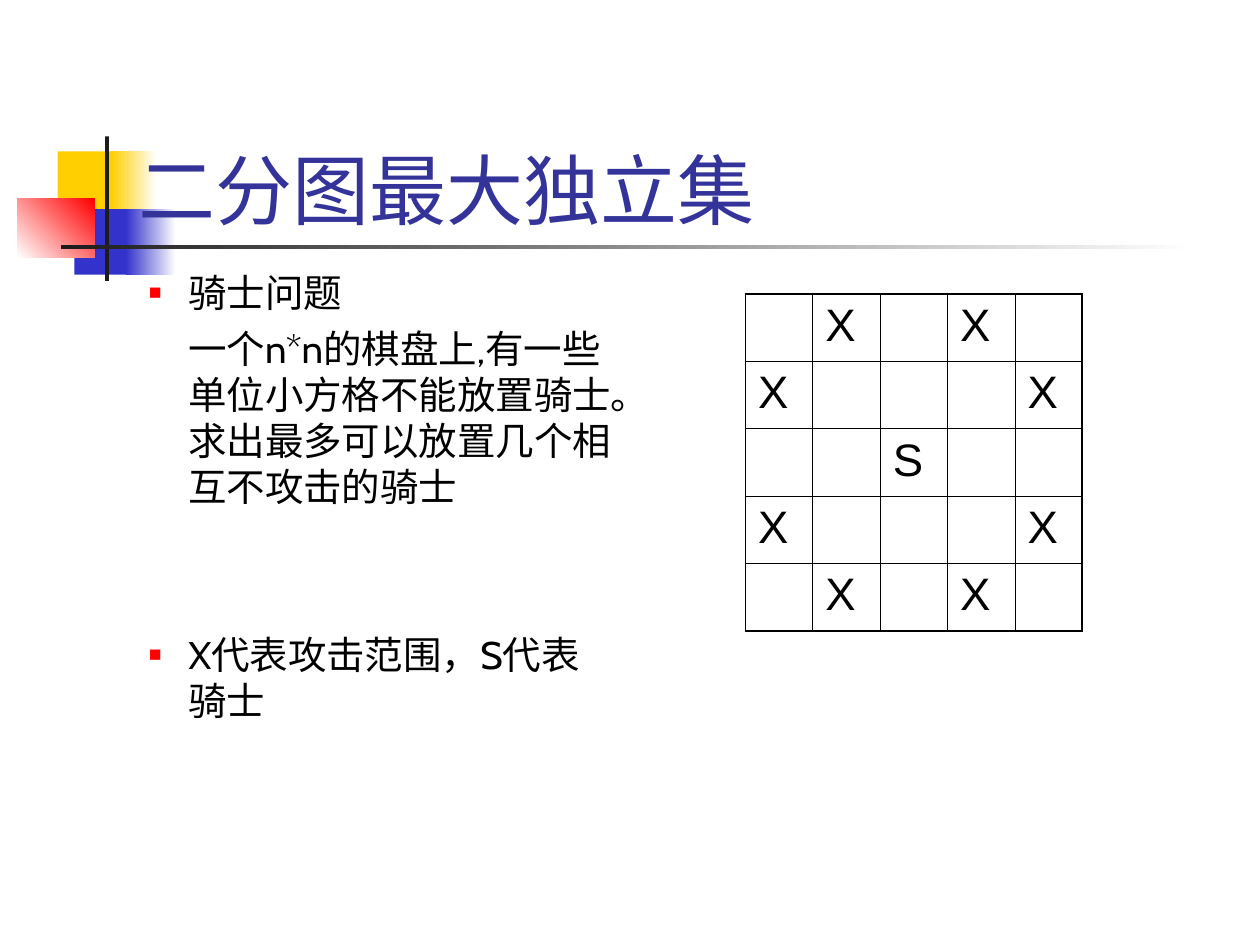
from dataclasses import dataclass

from lxml import etree
from pptx import Presentation
from pptx.dml.color import RGBColor
from pptx.enum.shapes import MSO_SHAPE
from pptx.enum.text import MSO_ANCHOR, MSO_AUTO_SIZE, PP_ALIGN
from pptx.oxml.ns import qn
from pptx.util import Pt

RECTANGLE = MSO_SHAPE.RECTANGLE
LEFT = PP_ALIGN.LEFT
TOP, BOTTOM = MSO_ANCHOR.TOP, MSO_ANCHOR.BOTTOM
NO_FIT = MSO_AUTO_SIZE.NONE
TITLE_ONLY = 5


@dataclass(frozen=True)
class Theme:
    text_font: str = "Cabin"
    board_font: str = "Arial"
    title_size: float = 44
    text_size: float = 22
    board_size: float = 26
    title_color: str = "333399"
    ink: str = "000000"
    white: str = "FFFFFF"
    yellow: str = "FFCF01"
    blue: str = "3333CC"
    red: str = "FF0000"
    dark: str = "1C1C1C"
    inner_line: float = 0.45
    outer_line: float = 1.08


THEME = Theme()

# Left, top, width, height, colours from start to end, angle
ORNAMENTS = [
    (33, 86.5, 35, 37.5, [THEME.yellow], 0),
    (63.5, 86.5, 26, 37.5, [THEME.yellow, THEME.white], 0),
    (42.5, 119.5, 33, 37.5, [THEME.blue], 0),
    (72, 119.5, 28.5, 37.5, [THEME.blue, THEME.white], 0),
    (10, 113.5, 44, 33.5, [THEME.white, THEME.red], 45),
    (60, 78, 2.3, 82.5, [THEME.dark], 0),
    (34.7, 140.2, 648, 2.3, [THEME.dark, THEME.white], 0),
]

# Text, whether it has a bullet, space before
PARAGRAPHS = [
    ("骑士问题", True, 0),
    ("一个n*n的棋盘上,有一些单位小方格不能放置骑士。"
     "求出最多可以放置几个相互不攻击的骑士", False, 5.5),
    ("X代表攻击范围，S代表骑士", True, 69.5),
]

BOARD = [" X X ", "X   X", "  S  ", "X   X", " X X "]


def set_values(target, values):
    for name, value in values.items():
        setattr(target, name, value)


class SlideBuilder:
    def __init__(self, page, theme):
        self.page = page
        self.theme = theme

    def style_font(self, font, name, size, color):
        set_values(font, {"name": name, "size": Pt(size), "bold": False})
        font.color.rgb = RGBColor.from_string(color)

    def ornament(self, left, top, width, height, colors, angle):
        shape = self.page.shapes.add_shape(
            RECTANGLE, Pt(left), Pt(top), Pt(width), Pt(height))
        shape.shadow.inherit = False
        shape.line.fill.background()
        if len(colors) == 1:
            shape.fill.solid()
            shape.fill.fore_color.rgb = RGBColor.from_string(colors[0])
            return
        shape.fill.gradient()
        shape.fill.gradient_angle = angle
        for stop, color in zip(shape.fill.gradient_stops, colors):
            stop.color.rgb = RGBColor.from_string(color)

    def title(self, text, left, top, width, height):
        box = self.page.shapes.title
        set_values(box, {"left": Pt(left), "top": Pt(top),
                         "width": Pt(width), "height": Pt(height)})
        # Bring the title in front of the ornaments
        box.element.getparent().append(box.element)
        frame = box.text_frame
        set_values(frame, {"text": text, "vertical_anchor": BOTTOM,
                           "word_wrap": True, "auto_size": NO_FIT})
        para = frame.paragraphs[0]
        para.alignment = LEFT
        self.style_font(para.runs[0].font, self.theme.text_font,
                        self.theme.title_size, self.theme.title_color)

    def bullet(self, properties):
        color = etree.SubElement(properties, qn("a:buClr"))
        etree.SubElement(color, qn("a:srgbClr"), val=self.theme.red)
        etree.SubElement(properties, qn("a:buSzPct"), val="55000")
        etree.SubElement(properties, qn("a:buFont"), typeface="Arial")
        etree.SubElement(properties, qn("a:buChar"), char="■")

    def body(self, paragraphs, left, top, width, height):
        box = self.page.shapes.add_textbox(
            Pt(left), Pt(top), Pt(width), Pt(height))
        frame = box.text_frame
        set_values(frame, {"word_wrap": True, "auto_size": NO_FIT,
                           "vertical_anchor": TOP})
        for index, (text, has_bullet, space) in enumerate(paragraphs):
            para = frame.add_paragraph() if index else frame.paragraphs[0]
            set_values(para, {"alignment": LEFT, "space_before": Pt(space)})
            properties = para._p.get_or_add_pPr()
            properties.set("marL", str(Pt(58.5)))
            properties.set("indent", str(Pt(-22.5 if has_bullet else 0)))
            if has_bullet:
                self.bullet(properties)
            span = para.add_run()
            span.text = text
            self.style_font(span.font, self.theme.text_font,
                            self.theme.text_size, self.theme.ink)

    def borders(self, cell, outer_sides):
        properties = cell._tc.get_or_add_tcPr()
        for index, side in enumerate("LRTB"):
            weight = (self.theme.outer_line if side in outer_sides
                      else self.theme.inner_line)
            line = etree.Element(qn(f"a:ln{side}"), w=str(Pt(weight)))
            fill = etree.SubElement(line, qn("a:solidFill"))
            etree.SubElement(fill, qn("a:srgbClr"), val=self.theme.ink)
            properties.insert(index, line)

    def board(self, rows, left, top, size):
        count = len(rows)
        table = self.page.shapes.add_table(
            count, count, Pt(left), Pt(top), Pt(size), Pt(size)).table
        set_values(table, {"first_row": False, "horz_banding": False})
        for column, row in zip(table.columns, table.rows):
            column.width = row.height = Pt(size / count)
        last = count - 1
        for y, marks in enumerate(rows):
            for x, mark in enumerate(marks):
                cell = table.cell(y, x)
                cell.fill.background()
                edges = {"L": x == 0, "R": x == last,
                         "T": y == 0, "B": y == last}
                self.borders(cell, [side for side in edges if edges[side]])
                cell.text = mark.strip()
                self.style_font(cell.text_frame.paragraphs[0].font,
                                self.theme.board_font,
                                self.theme.board_size, self.theme.ink)


def main():
    deck = Presentation()
    set_values(deck, {"slide_width": Pt(720), "slide_height": Pt(540)})
    page = deck.slides.add_slide(deck.slide_layouts[TITLE_ONLY])
    builder = SlideBuilder(page, THEME)
    for ornament in ORNAMENTS:
        builder.ornament(*ornament)
    builder.title("二分图最大独立集", 72, 48, 648, 90)
    builder.body(PARAGRAPHS, 42, 150, 318, 356)
    builder.board(BOARD, 426, 168, 192.5)
    deck.save("out.pptx")


if __name__ == "__main__":
    main()
